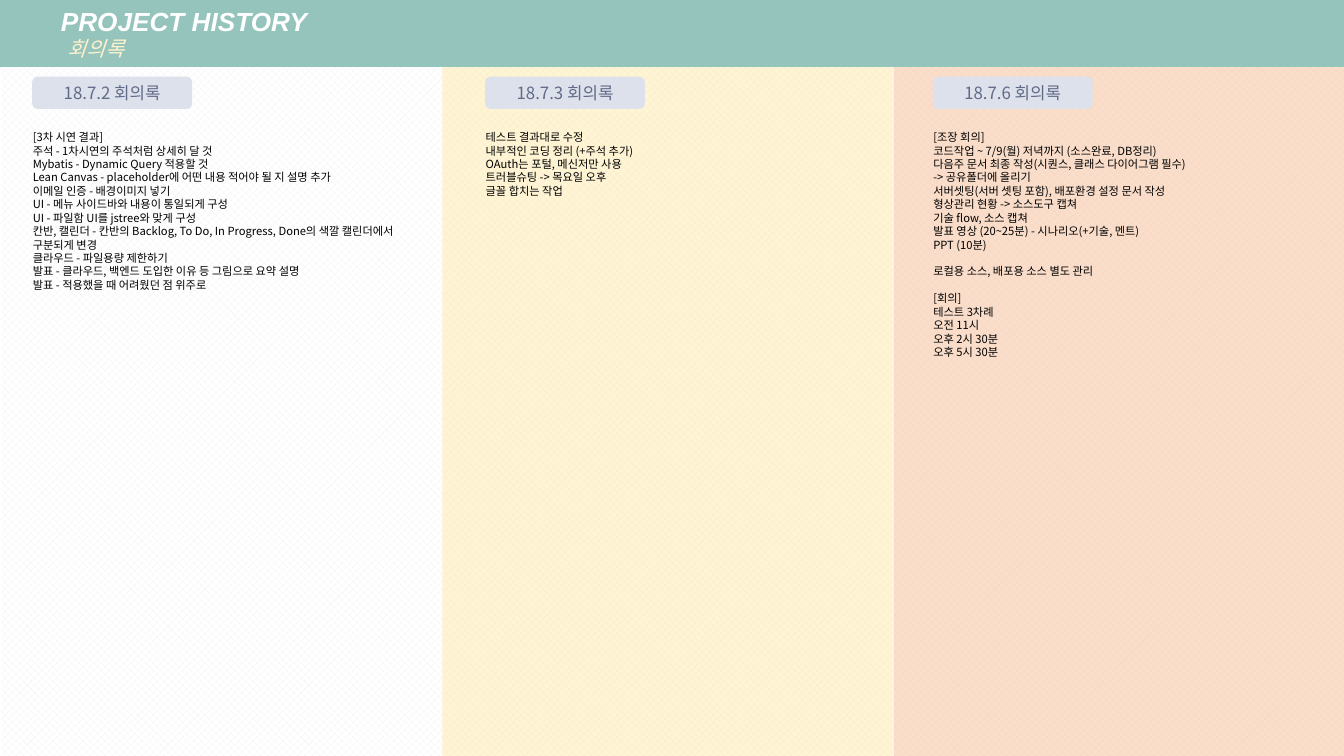
import pptx
import pptx.dml.color
import pptx.enum.dml
import pptx.enum.shapes
import pptx.enum.text
import pptx.oxml
import pptx.oxml.ns
import pptx.util
from pptx.util import Cm, Pt

COLORS = {
    "band": "95C4BC",
    "heading": "FFFFFF",
    "subheading": "FFF2CC",
    "weave": "F2F2F2",
    "paper": "FFFFFF",
    "yellow": "FFE699",
    "orange": "F4B183",
    "label": "DCE1EC",
    "label_text": "616A87",
    "notes": "000000",
}
KOREAN_FONT = "Noto Sans CJK KR"
NOTE_LINE = Pt(7.2)
SLIDE_WIDTH, SLIDE_HEIGHT = Cm(25.4), Cm(14.29)
PANEL_TOP = Cm(1.27)
PANEL_HEIGHT = SLIDE_HEIGHT - PANEL_TOP

# Each meeting: date label, panel left, panel width, label inset, tint, note groups
MEETINGS = [
    ("18.7.2 회의록", Cm(0.03), Cm(8.41), Cm(0.58), None, [[
        "[3차 시연 결과]",
        "주석 - 1차시연의 주석처럼 상세히 달 것",
        "Mybatis - Dynamic Query 적용할 것",
        "Lean Canvas - placeholder에 어떤 내용 적어야 될 지 설명 추가",
        "이메일 인증 - 배경이미지 넣기",
        "UI - 메뉴 사이드바와 내용이 통일되게 구성",
        "UI - 파일함 UI를 jstree와 맞게 구성",
        "칸반, 캘린더 - 칸반의 Backlog, To Do, In Progress, Done의 색깔 캘린더에서 구분되게 변경",
        "클라우드 - 파일용량 제한하기",
        "발표 - 클라우드, 백엔드 도입한 이유 등 그림으로 요약 설명",
        "발표 - 적용했을 때 어려웠던 점 위주로",
    ]]),
    ("18.7.3 회의록", Cm(8.36), Cm(8.51), Cm(0.81), "yellow", [[
        "테스트 결과대로 수정",
        "내부적인 코딩 정리 (+주석 추가)",
        "OAuth는 포털, 메신저만 사용",
        "트러블슈팅 -> 목요일 오후",
        "글꼴 합치는 작업",
    ]]),
    ("18.7.6 회의록", Cm(16.89), Cm(8.51), Cm(0.74), "orange", [[
        "[조장 회의]",
        "코드작업 ~ 7/9(월) 저녁까지 (소스완료, DB정리)",
        "다음주 문서 최종 작성(시퀀스, 클래스 다이어그램 필수)",
        "-> 공유폴더에 올리기",
        "서버셋팅(서버 셋팅 포함), 배포환경 설정 문서 작성",
        "형상관리 현황 -> 소스도구 캡쳐",
        "기술 flow, 소스 캡쳐",
        "발표 영상 (20~25분) - 시나리오(+기술, 멘트)",
        "PPT (10분)",
    ], [
        "로컬용 소스, 배포용 소스 별도 관리",
    ], [
        "[회의]",
        "테스트 3차례",
        "오전 11시",
        "오후 2시 30분",
        "오후 5시 30분",
    ]]),
]


def rgb(name):
    return pptx.dml.color.RGBColor.from_string(COLORS[name])


def format_runs(paragraph, size, color, latin=KOREAN_FONT, bold=False, italic=False):
    for run in paragraph.runs:
        font = run.font
        font.size, font.name = Pt(size), latin
        font.bold, font.italic = bold, italic
        font.color.rgb = rgb(color)
        east_asian = pptx.oxml.parse_xml(
            f'<a:ea {pptx.oxml.ns.nsdecls("a")} typeface="{KOREAN_FONT}"/>')
        font._element.find(pptx.oxml.ns.qn("a:latin")).addnext(east_asian)


def set_margins(frame, horizontal, vertical):
    frame.margin_left = frame.margin_right = horizontal
    frame.margin_top = frame.margin_bottom = vertical


def add_block(slide, kind, left, top, width, height):
    """Add a preset shape with neither outline nor shadow."""
    block = slide.shapes.add_shape(kind, left, top, width, height)
    block.shadow.inherit = False
    block.line.fill.background()
    return block


def add_woven_panel(slide, left, top, width, height):
    panel = add_block(slide, pptx.enum.shapes.MSO_SHAPE.RECTANGLE, left, top, width, height)
    panel.fill.patterned()
    panel.fill.pattern = pptx.enum.dml.MSO_PATTERN.SOLID_DIAMOND
    panel.fill.fore_color.rgb = rgb("weave")
    panel.fill.back_color.rgb = rgb("paper")


def add_tint(slide, left, top, width, height, color):
    """Lay a 42 % opaque colour over a panel."""
    tint = add_block(slide, pptx.enum.shapes.MSO_SHAPE.RECTANGLE, left, top, width, height)
    tint.fill.solid()
    tint.fill.fore_color.rgb = rgb(color)
    srgb = tint._element.spPr.find(".//" + pptx.oxml.ns.qn("a:srgbClr"))
    srgb.append(pptx.oxml.parse_xml(
        f'<a:alpha {pptx.oxml.ns.nsdecls("a")} val="42000"/>'))


def place_title(slide, left, top, width, height):
    title = slide.shapes.title
    title.left, title.top, title.width, title.height = left, top, width, height
    title.fill.solid()
    title.fill.fore_color.rgb = rgb("band")
    frame = title.text_frame
    frame.text = "PROJECT HISTORY\n회의록"
    frame.auto_size = pptx.enum.text.MSO_AUTO_SIZE.NONE
    frame.vertical_anchor = pptx.enum.text.MSO_ANCHOR.MIDDLE
    set_margins(frame, Cm(0.18), Cm(0.1))
    heading, subheading = frame.paragraphs
    for paragraph, indent in ((heading, Cm(0.97)), (subheading, Cm(1.1))):
        paragraph.alignment = pptx.enum.text.PP_ALIGN.LEFT
        paragraph.line_spacing = 1.0
        paragraph._p.get_or_add_pPr().set("marL", str(indent))
    format_runs(heading, 14, "heading", "Arial", bold=True, italic=True)
    format_runs(subheading, 11, "subheading", "Arial", italic=True)


def add_date_label(slide, left, top, date):
    label = add_block(slide, pptx.enum.shapes.MSO_SHAPE.ROUNDED_RECTANGLE,
                      left, top, Cm(3.02), Cm(0.61))
    label.fill.solid()
    label.fill.fore_color.rgb = rgb("label")
    frame = label.text_frame
    frame.text = date
    frame.vertical_anchor = pptx.enum.text.MSO_ANCHOR.MIDDLE
    set_margins(frame, Cm(0.18), Cm(0.1))
    frame.paragraphs[0].alignment = pptx.enum.text.PP_ALIGN.CENTER
    format_runs(frame.paragraphs[0], 9, "label_text")


def add_notes(slide, left, top, width, height, groups):
    """Write the note lines, with one line of space between groups."""
    frame = slide.shapes.add_textbox(left, top, width, height).text_frame
    frame.word_wrap = True
    frame.text = "\n".join(line for group in groups for line in group)
    for paragraph in frame.paragraphs:
        paragraph.line_spacing = NOTE_LINE
        format_runs(paragraph, 6, "notes")
    group_start = 0
    for group in groups[:-1]:
        group_start += len(group)
        frame.paragraphs[group_start].space_before = NOTE_LINE


def add_meeting(slide, left, top, width, height, date, inset, tint, groups):
    if tint:
        add_tint(slide, left, top, width, height, tint)
    add_date_label(slide, left + inset, top + Cm(0.18), date)
    line_count = sum(map(len, groups)) + len(groups)
    add_notes(slide, left + inset - Cm(0.24), top + Cm(1.07), Cm(7.44),
              NOTE_LINE * line_count + Cm(0.25), groups)


def main():
    deck = pptx.Presentation()
    deck.slide_width, deck.slide_height = SLIDE_WIDTH, SLIDE_HEIGHT
    slide = deck.slides.add_slide(deck.slide_layouts.get_by_name("Title Only"))
    place_title(slide, 0, Cm(-0.02), SLIDE_WIDTH, Cm(1.29))
    add_woven_panel(slide, Cm(0.03), PANEL_TOP, Cm(8.41), PANEL_HEIGHT)
    add_woven_panel(slide, Cm(8.38), PANEL_TOP, Cm(17.02), PANEL_HEIGHT)
    for date, left, width, inset, tint, groups in MEETINGS:
        add_meeting(slide, left, PANEL_TOP, width, PANEL_HEIGHT, date, inset, tint, groups)
    deck.save("out.pptx")


if __name__ == "__main__":
    main()
